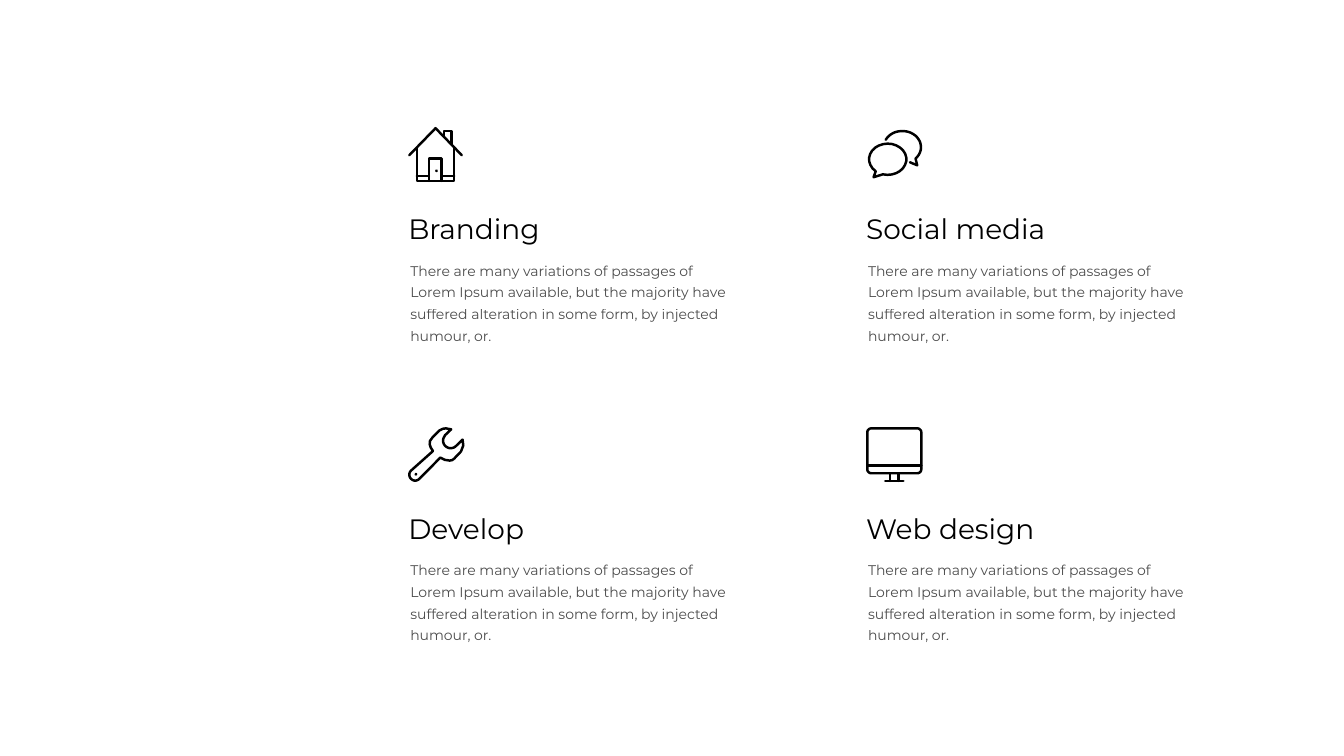
from dataclasses import dataclass
from math import cos, radians, sin

from lxml.etree import SubElement
from pptx import Presentation
from pptx.dml.color import RGBColor
from pptx.enum.text import MSO_AUTO_SIZE
from pptx.oxml.ns import qn
from pptx.util import Inches, Pt

COLORS = {"ink": "000000", "paper": "FFFFFF"}
FONT = "Montserrat"
STROKE = Pt(1.75)

# Grid of services, in inches; icons are drawn in thousandths of an inch
GRID_LEFT, GRID_TOP = 4.05, 1.26
COLUMN_STEP, ROW_STEP = 4.54, 2.97
ICON_SCALE = 914.4

BLURB = ("There are many variations of passages of Lorem Ipsum available, "
         "but the majority have suffered alteration in some form, by injected humour, or.")

Point = tuple[float, float]


@dataclass(frozen=True)
class Stroke:
    points: list[Point]
    closed: bool = False


@dataclass(frozen=True)
class TextStyle:
    dx: float
    dy: float
    width: float
    height: float
    size: int
    spacing: float
    opacity: int


@dataclass(frozen=True)
class Service:
    heading: str
    column: int
    row: int
    icon: list[Stroke]


HEADING = TextStyle(0, 0.83, 3.15, 0.41, 20, 0.9, 100)
BODY = TextStyle(0.02, 1.24, 3.14, 0.98, 10, 1.3, 70)


def arc(cx: float, cy: float, rx: float, ry: float,
        start: float, end: float, steps: int = 24) -> list[Point]:
    """Points along an ellipse; angles in degrees, clockwise from the right."""
    angles = [radians(start + (end - start) * i / steps) for i in range(steps + 1)]
    return [(cx + rx * cos(a), cy + ry * sin(a)) for a in angles]


def dot(x: float, y: float) -> Stroke:
    return Stroke(arc(x, y, 2, 2, 0, 360, 8), True)


def rounded_box(left: float, top: float, right: float, bottom: float, r: float) -> Stroke:
    corners = [(right - r, bottom - r), (left + r, bottom - r),
               (left + r, top + r), (right - r, top + r)]
    return Stroke([point for i, (x, y) in enumerate(corners)
                   for point in arc(x, y, r, r, 90 * i, 90 * i + 90, 6)], True)


HOUSE = [
    Stroke([(10, 280), (270, 12), (530, 280)]),                      # roof
    Stroke([(85, 210), (85, 535), (455, 535), (455, 210)]),          # walls
    Stroke([(205, 535), (205, 315), (330, 315), (330, 535)]),        # door
    Stroke([(85, 485), (205, 485)]),
    Stroke([(330, 485), (455, 485)]),
    Stroke([(355, 90), (355, 40), (430, 40), (430, 170)]),           # chimney
    dot(280, 435),
]
SPEECH = [
    Stroke(arc(215, 320, 185, 155, 130, 465) + [(75, 498)], True),
    Stroke(arc(360, 200, 185, 160, 207, 405) + [(508, 380), (435, 350)]),
]
WRENCH = [
    Stroke(arc(68, 480, 58, 58, 45, 225)                             # handle
           + [(245, 245), (222, 210), (212, 178), (215, 145), (240, 110),
              (310, 40), (340, 25), (372, 20), (425, 30), (362, 90)]
           + arc(420, 142, 75, 75, 220, 45)                          # jaw
           + [(538, 132), (545, 190), (522, 250), (455, 320),
              (435, 335), (410, 340), (360, 332), (318, 310)], True),
    dot(75, 475),
]
MONITOR = [
    rounded_box(12, 20, 548, 465, 40),
    Stroke([(12, 390), (548, 390)]),
    Stroke([(240, 465), (240, 540)]),
    Stroke([(320, 465), (320, 540)]),
    Stroke([(190, 540), (370, 540)]),
]

SERVICES = [
    Service("Branding", 0, 0, HOUSE),
    Service("Social media", 1, 0, SPEECH),
    Service("Develop", 0, 1, WRENCH),
    Service("Web design", 1, 1, MONITOR),
]


def draw_icon(slide, icon: list[Stroke], left: float, top: float) -> None:
    first = icon[0]
    builder = slide.shapes.build_freeform(*first.points[0], scale=ICON_SCALE)
    builder.add_line_segments(first.points[1:], close=first.closed)
    for stroke in icon[1:]:
        builder.move_to(*stroke.points[0])
        builder.add_line_segments(stroke.points[1:], close=stroke.closed)
    outline = builder.convert_to_shape(Inches(left), Inches(top))
    outline.shadow.inherit = False
    outline.fill.background()
    outline.line.color.rgb = RGBColor.from_string(COLORS["ink"])
    outline.line.width = STROKE
    # Round caps and joins
    line_xml = outline.line._get_or_add_ln()
    line_xml.set("cap", "rnd")
    SubElement(line_xml, qn("a:round"))


def write_text(slide, wording: str, style: TextStyle, left: float, top: float) -> None:
    box = slide.shapes.add_textbox(Inches(left + style.dx), Inches(top + style.dy),
                                   Inches(style.width), Inches(style.height))
    frame = box.text_frame
    frame_format = {"word_wrap": True, "auto_size": MSO_AUTO_SIZE.SHAPE_TO_FIT_TEXT,
                    "margin_left": 0, "margin_right": 0,
                    "margin_top": Inches(0.05), "margin_bottom": Inches(0.05)}
    for name, value in frame_format.items():
        setattr(frame, name, value)
    paragraph = frame.paragraphs[0]
    paragraph.line_spacing = style.spacing
    run = paragraph.add_run()
    run.text = wording
    for name, value in {"name": FONT, "size": Pt(style.size)}.items():
        setattr(run.font, name, value)
    run.font.color.rgb = RGBColor.from_string(COLORS["ink"])
    if style.opacity < 100:
        ink = run.font._element.find(".//" + qn("a:srgbClr"))
        SubElement(ink, qn("a:alpha"), val=str(style.opacity * 1000))


def main() -> None:
    deck = Presentation()
    deck.slide_width, deck.slide_height = Inches(13.33), Inches(7.5)
    slide = deck.slides.add_slide(deck.slide_layouts[6])
    slide.background.fill.solid()
    slide.background.fill.fore_color.rgb = RGBColor.from_string(COLORS["paper"])

    for service in SERVICES:
        left = GRID_LEFT + service.column * COLUMN_STEP
        top = GRID_TOP + service.row * ROW_STEP
        draw_icon(slide, service.icon, left, top)
        write_text(slide, service.heading, HEADING, left, top)
        write_text(slide, BLURB, BODY, left, top)

    deck.save("out.pptx")


if __name__ == "__main__":
    main()
